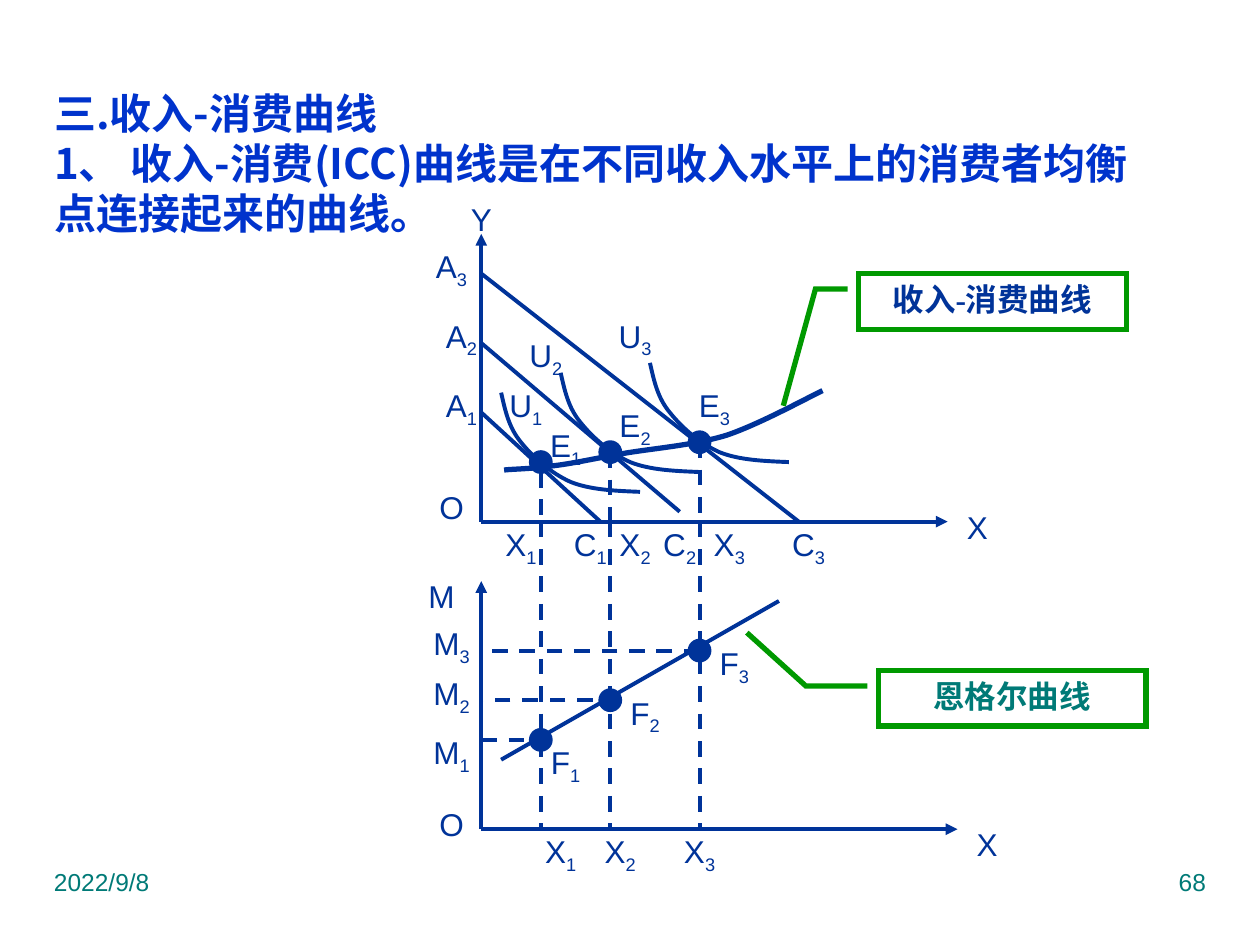
from dataclasses import dataclass
from typing import NamedTuple

from pptx import Presentation
from pptx.dml.color import RGBColor
from pptx.enum.dml import MSO_LINE
from pptx.enum.shapes import MSO_CONNECTOR, MSO_SHAPE
from pptx.enum.text import MSO_ANCHOR, MSO_AUTO_SIZE, PP_ALIGN
from pptx.oxml.ns import qn
from pptx.util import Cm, Inches, Pt
from lxml.etree import SubElement

NAVY = RGBColor(0x00, 0x33, 0x99)
BLUE = RGBColor(0x00, 0x33, 0xCC)
TEAL = RGBColor(0x00, 0x7A, 0x77)
GREEN = RGBColor(0x00, 0x99, 0x00)
CJK_FONT = "Noto Sans CJK SC"

# Grid: columns run right and rows run down from the upper chart's origin
CELL = Cm(0.2)
LOWER = 31  # row of the lower chart's horizontal axis
LARGE, SMALL = (4, 5), (4, 3)  # label boxes in columns and rows


class Point(NamedTuple):
    column: float
    row: float


@dataclass
class Label:
    text: str
    column: float
    row: float
    box: tuple = LARGE


@dataclass
class IncomeLevel:
    equilibrium: Point
    engel: Point
    budget_top: Point
    budget_end: Point
    indifference_start: Point
    drop_start: float
    dash_end: float
    labels: dict  # letter -> (column, row, box)


LEVELS = [
    IncomeLevel(Point(6, -6), Point(6, 22), Point(0, -11), Point(12, 0), Point(2, -13), -5, 6,
                {"U": (2.5, -13, SMALL), "E": (6.5, -9, SMALL), "F": (6.5, 23, SMALL),
                 "A": (-4, -14), "C": (9, 0), "M": (-5, 21)}),
    IncomeLevel(Point(13, -7), Point(13, 18), Point(0, -18), Point(20, -1), Point(8, -15), -7, 14,
                {"U": (4.5, -18, SMALL), "E": (13.5, -11, SMALL), "F": (14.5, 18, SMALL),
                 "A": (-4, -21), "C": (18, 0), "M": (-5, 15)}),
    IncomeLevel(Point(22, -8), Point(22, 13), Point(0, -25), Point(32, 0), Point(17, -16), -8, 22,
                {"U": (13.5, -20, SMALL), "E": (21.5, -13, SMALL), "F": (23.5, 13, SMALL),
                 "A": (-5, -28), "C": (31, 0), "M": (-5, 10)}),
]
QUANTITY_LABELS = [
    Label("X1", 2, 0), Label("X2", 13.5, 1, SMALL), Label("X3", 23, 0),
    Label("X1", 6, LOWER), Label("X2", 12, LOWER), Label("X3", 20, LOWER),
]
AXIS_LABELS = [
    Label("Y", -2, -33), Label("X", 48, -2), Label("O", -5, -4),
    Label("M", -6, 5), Label("X", 49, 30), Label("O", -5, 28),
]
AXES = [
    (Point(0, 0), Point(47, 0)), (Point(0, 0), Point(0, -29)),
    (Point(0, LOWER), Point(48, LOWER)), (Point(0, LOWER), Point(0, 6)),
]
# Bezier curves: a start, then two control points and an end per segment
INDIFFERENCE = [(0, 0), (0.4, 1.75), (0.75, 3.5), (2, 5), (3.2, 6.5), (5, 8.1), (7, 9),
                (9, 9.8), (11.5, 9.9), (14, 10)]
INCOME_CONSUMPTION = [(2.3, -5.2), (3, -5.3), (5, -5.3), (7, -5.6), (9, -5.8), (11.6, -6.4),
                      (14.5, -6.9), (17.5, -7.4), (21.4, -7.7), (24.7, -8.7), (28, -9.8),
                      (32.9, -12.5), (34.4, -13.2)]

deck = Presentation()
deck.slide_width, deck.slide_height = Inches(10), Inches(7.5)
slide = deck.slides.add_slide(deck.slide_layouts[5])
shapes = slide.shapes


def across(share: float) -> int:
    return int(deck.slide_width * share)


def down(share: float) -> int:
    return int(deck.slide_height * share)


def place(column: float, row: float) -> tuple[int, int]:
    return across(0.382) + int(column * CELL), down(0.552) + int(row * CELL)


def style(run, size: int, color: RGBColor, font: str = "Arial", bold: bool = False) -> None:
    run.font.size, run.font.name, run.font.bold = Pt(size), font, bold
    run.font.color.rgb = color
    SubElement(run.font._element, qn("a:ea")).set("typeface", CJK_FONT)


def draw_line(start: Point, end: Point, dashed: bool = False, arrow: bool = False) -> None:
    line = shapes.add_connector(MSO_CONNECTOR.STRAIGHT, *place(*start), *place(*end))
    line.line.color.rgb, line.line.width = NAVY, Pt(2.25)
    if dashed:
        line.line.dash_style = MSO_LINE.DASH
    if arrow:
        SubElement(line.line._get_or_add_ln(), qn("a:tailEnd")).set("type", "triangle")
    SubElement(line._element.spPr, qn("a:effectLst"))


def draw_curve(points: list, start: Point = Point(0, 0), width: float = 2.25) -> None:
    spots = [place(start.column + x, start.row + y) for x, y in points]
    builder = shapes.build_freeform(*spots[0])
    builder.add_line_segments(spots[1:], close=False)
    curve = builder.convert_to_shape()
    # Join each three straight steps into one Bezier segment
    steps = list(curve._element.iter(qn("a:lnTo")))
    outline = steps[0].getparent()
    for first in range(0, len(steps), 3):
        segment = SubElement(outline, qn("a:cubicBezTo"))
        for step in steps[first:first + 3]:
            segment.append(step[0])
            outline.remove(step)
    curve.fill.background()
    curve.line.color.rgb, curve.line.width = NAVY, Pt(width)
    curve.shadow.inherit = False


def draw_dot(center: Point) -> None:
    dot = shapes.add_shape(MSO_SHAPE.OVAL, *place(center.column - 1, center.row - 1),
                           2 * CELL, 2 * CELL)
    dot.fill.solid()
    dot.fill.fore_color.rgb = dot.line.color.rgb = NAVY
    dot.line.width = Pt(2.25)
    dot.shadow.inherit = False


def draw_label(label: Label) -> None:
    columns, rows = label.box
    frame = shapes.add_textbox(*place(label.column, label.row),
                               columns * CELL, rows * CELL).text_frame
    frame.word_wrap, frame.vertical_anchor = False, MSO_ANCHOR.MIDDLE
    frame.margin_left = frame.margin_right = frame.margin_top = frame.margin_bottom = 0
    paragraph = frame.paragraphs[0]
    paragraph.alignment = PP_ALIGN.CENTER
    for index, letter in enumerate(label.text):
        run = paragraph.add_run()
        run.text = letter
        style(run, 18, NAVY)
        if index:
            run.font._element.set("baseline", "-25000")


def draw_callout(text: str, corner: Point, color: RGBColor, leader: list) -> None:
    callout = shapes.add_shape(MSO_SHAPE.LINE_CALLOUT_2, *place(*corner),
                               27 * CELL, int(5.6 * CELL))
    for index, share in enumerate(leader):
        callout.adjustments[index] = share
    callout.fill.background()
    callout.line.color.rgb, callout.line.width = GREEN, Pt(3)
    SubElement(callout.line._get_or_add_ln(), qn("a:miter")).set("lim", "800000")
    callout.shadow.inherit = False
    frame = callout.text_frame
    frame.text, frame.vertical_anchor = text, MSO_ANCHOR.TOP
    frame.paragraphs[0].alignment = PP_ALIGN.CENTER
    style(frame.paragraphs[0].runs[0], 18, color, "Times New Roman", True)


def draw_footer(text: str, left: float, alignment: PP_ALIGN) -> None:
    frame = shapes.add_textbox(across(left), down(0.911), across(0.25), down(0.07)).text_frame
    frame.word_wrap, frame.text = True, text
    frame.paragraphs[0].alignment = alignment
    style(frame.paragraphs[0].runs[0], 14, TEAL)


# Title
title = shapes.title
title.left, title.top = across(0.033), down(0.089)
title.width, title.height = across(0.934), down(0.166)
title.text_frame.text = ("三.收入-消费曲线\v1、 收入-消费(ICC)曲线是在不同收入水平上的消费者均衡\v"
                         "点连接起来的曲线。")
title.text_frame.auto_size = MSO_AUTO_SIZE.NONE
title.text_frame.vertical_anchor = MSO_ANCHOR.MIDDLE
heading = title.text_frame.paragraphs[0]
heading.alignment, heading.line_spacing = PP_ALIGN.LEFT, Pt(28.6)
for heading_run in heading.runs:
    style(heading_run, 24, BLUE, CJK_FONT, True)

# Footer
draw_footer("2022/9/8", 0.033, PP_ALIGN.LEFT)
draw_footer("68", 0.717, PP_ALIGN.RIGHT)

# Axes of both charts
for origin, tip in AXES:
    draw_line(origin, tip, arrow=True)

# Budget line, indifference curve and guides of each income level
for number, level in enumerate(LEVELS, 1):
    column, engel_row = level.engel
    draw_line(level.budget_top, level.budget_end)
    draw_curve(INDIFFERENCE, level.indifference_start)
    draw_line(Point(column, level.drop_start), Point(column, 0), dashed=True)
    draw_line(Point(column, 0), Point(column, LOWER), dashed=True)
    income_ends = [Point(0, engel_row), Point(level.dash_end, engel_row)]
    draw_line(*(income_ends if number == 1 else income_ends[::-1]), dashed=True)
    draw_dot(level.equilibrium)
    draw_dot(level.engel)
    for letter, position in level.labels.items():
        draw_label(Label(f"{letter}{number}", *position))

# Income-consumption curve and Engel curve
draw_curve(INCOME_CONSUMPTION, width=3)
draw_line(Point(2, 24), Point(30, 8))
for axis_label in AXIS_LABELS + QUANTITY_LABELS:
    draw_label(axis_label)
draw_callout("收入-消费曲线", Point(38, -25), NAVY, [0.28, -0.04, 0.28, -0.16, 2.38, -0.28])
draw_callout("恩格尔曲线", Point(40, 15), TEAL, [0.28, -0.04, 0.28, -0.27, -0.68, -0.49])

deck.save("out.pptx")
